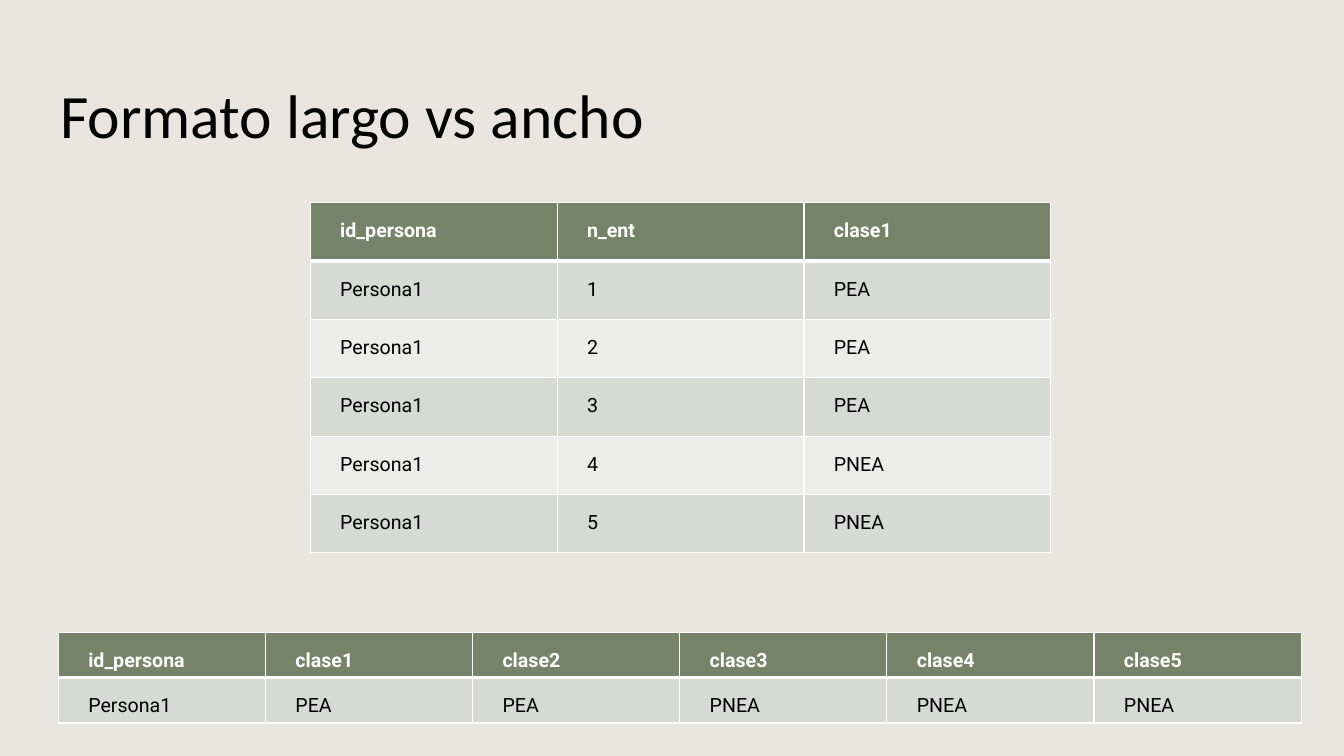
from lxml import etree
from pptx import Presentation
from pptx.dml.color import RGBColor
from pptx.enum import text
from pptx.oxml import ns
from pptx.util import Cm, Pt

TITLE = "Formato largo vs ancho"
LONG_ROWS = [
    ("id_persona", "n_ent", "clase1"),
    ("Persona1", "1", "PEA"),
    ("Persona1", "2", "PEA"),
    ("Persona1", "3", "PEA"),
    ("Persona1", "4", "PNEA"),
    ("Persona1", "5", "PNEA"),
]
WIDE_ROWS = [
    ("id_persona", "clase1", "clase2", "clase3", "clase4", "clase5"),
    ("Persona1", "PEA", "PEA", "PNEA", "PNEA", "PNEA"),
]
THEME = {
    "background": "E9E5E1",
    "header": "758468",
    "bands": ("D6D9D4", "ECEDEB"),
    "border": "FFFFFF",
    "header_text": "FFFFFF",
    "text": "000000",
    "title_font": "Calibri",
    "table_font": "Roboto",
    "title_size": Pt(44),
    "table_size": Pt(14),
    "thin": Pt(1),
    "thick": Pt(3),
}


def color(name):
    return RGBColor.from_string(THEME.get(name, name))


def set_borders(cell, widths):
    """Draw the cell's edges; they must precede the fill in the XML."""
    properties = cell._tc.get_or_add_tcPr()
    for position, (side, width) in enumerate(widths.items()):
        line = etree.Element(ns.qn(f"a:ln{side}"), w=str(int(width)))
        fill = etree.SubElement(line, ns.qn("a:solidFill"))
        etree.SubElement(fill, ns.qn("a:srgbClr"), val=THEME["border"])
        properties.insert(position, line)


def style_cell(cell, value, row):
    is_header = row == 0
    cell.text = value
    cell.fill.solid()
    cell.fill.fore_color.rgb = color(
        "header" if is_header else THEME["bands"][(row - 1) % 2])

    paragraph = cell.text_frame.paragraphs[0]
    paragraph.alignment = text.PP_ALIGN.JUSTIFY
    paragraph.line_spacing = 1.5
    paragraph.space_after = Pt(6)
    paragraph._p.get_or_add_pPr().set("indent", str(Cm(0.5)))
    paragraph.font.name = THEME["table_font"]
    paragraph.font.size = THEME["table_size"]
    paragraph.font.bold = is_header
    paragraph.font.color.rgb = color("header_text" if is_header else "text")

    thin, thick = THEME["thin"], THEME["thick"]
    set_borders(cell, {"L": thin, "R": thin,
                       "T": thick if row == 1 else thin,
                       "B": thick if is_header else thin})


def add_data_table(slide, rows, left, top, column_width, row_height):
    column_count = len(rows[0])
    table = slide.shapes.add_table(
        len(rows), column_count, left, top,
        column_width * column_count, row_height * len(rows)).table
    for column in table.columns:
        column.width = column_width
    for row, values in enumerate(rows):
        table.rows[row].height = row_height
        for column, value in enumerate(values):
            style_cell(table.cell(row, column), value, row)


def add_title(slide):
    frame = slide.shapes.add_textbox(
        Cm(1.27), Cm(1.02), Cm(30.28), Cm(3.68)).text_frame
    frame.word_wrap = True
    frame.vertical_anchor = text.MSO_ANCHOR.MIDDLE
    frame.text = TITLE
    font = frame.paragraphs[0].font
    font.name = THEME["title_font"]
    font.size = THEME["title_size"]
    font.color.rgb = color("text")


def main():
    presentation = Presentation()
    presentation.slide_width = Cm(33.87)
    presentation.slide_height = Cm(19.05)
    slide = presentation.slides.add_slide(presentation.slide_layouts[6])
    slide.background.fill.solid()
    slide.background.fill.fore_color.rgb = color("background")

    add_title(slide)
    add_data_table(slide, LONG_ROWS, Cm(7.82), Cm(5.11), Cm(6.22), Cm(1.47))
    add_data_table(slide, WIDE_ROWS, Cm(1.47), Cm(15.93), Cm(5.22), Cm(1.13))
    presentation.save("out.pptx")


if __name__ == "__main__":
    main()
